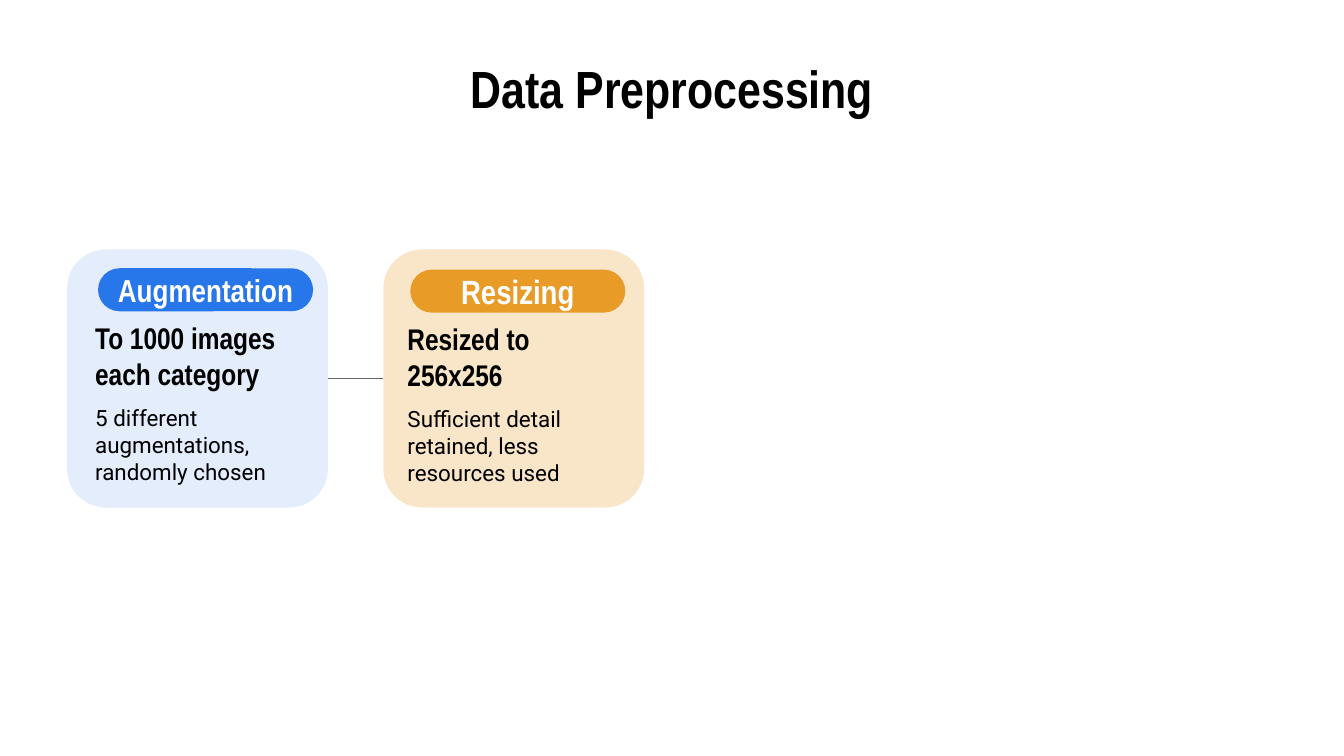
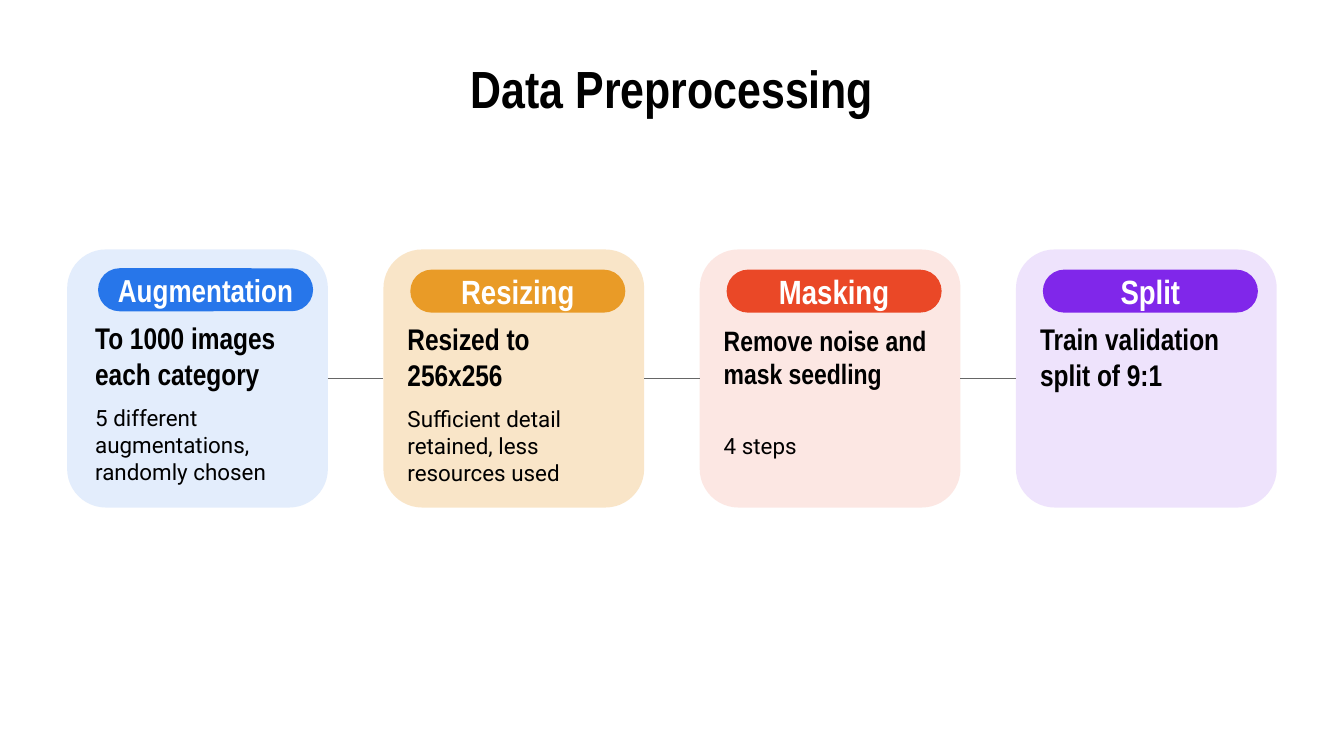
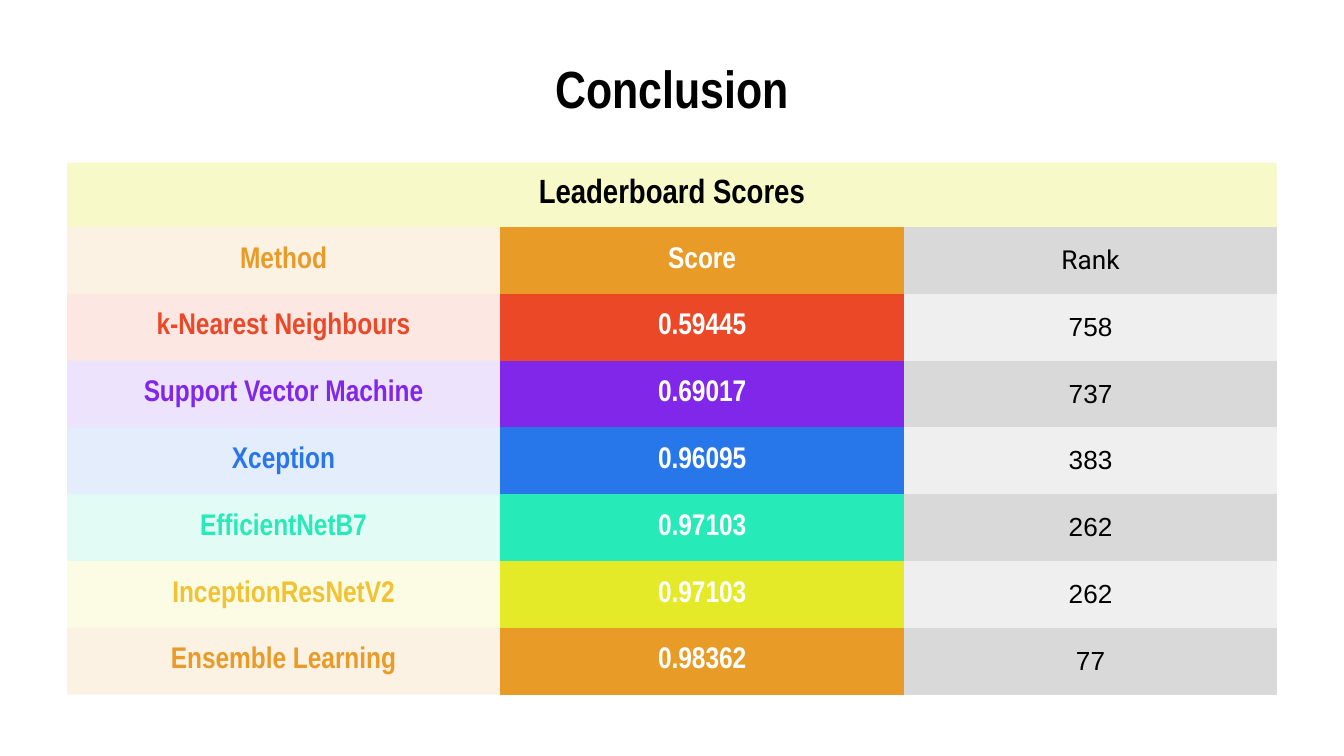
from dataclasses import dataclass

from pptx import Presentation
from pptx.dml.color import RGBColor
from pptx.enum.shapes import MSO_CONNECTOR as Conn, MSO_SHAPE as Shape
from pptx.enum.text import MSO_ANCHOR as Anchor, MSO_AUTO_SIZE as Auto, PP_ALIGN as Align
from pptx.oxml.ns import qn
from pptx.oxml.xmlchemy import OxmlElement
from pptx.table import _Cell as Cell
from pptx.util import Inches as In, Pt


@dataclass(frozen=True)
class Theme:
    head: str = "Arial Narrow"
    body: str = "Roboto"
    number: str = "Arial"
    black: str = "000000"
    white: str = "FFFFFF"
    line: str = "666666"
    grey: str = "D9D9D9"
    pale: str = "EFEFEF"
    blue: str = "2776EA"
    orange: str = "E99B27"
    red: str = "EA4827"
    purple: str = "8027EA"
    mint: str = "26EAB8"
    yellow: str = "E4EA27"
    gold: str = "F1C232"
    light: int = 13  # tint opacities in percent
    strong: int = 25
    title: int = 28
    label: int = 18
    lead: int = 16
    rank: int = 14
    detail: int = 12


T = Theme()
NO_STYLE = "{2D5ABB26-0587-4C30-8999-92F81FD0307C}"


def write(box, text, size, font=T.head, color=T.black, bold=True, align=Align.CENTER):
    tf = box.text_frame
    frame = box if isinstance(box, Cell) else tf
    frame.vertical_anchor = Anchor.MIDDLE
    frame.margin_left = frame.margin_right = frame.margin_top = frame.margin_bottom = In(0.1)
    tf.word_wrap = True
    p = tf.paragraphs[0]
    p.alignment = align
    r = p.add_run()
    r.text = text
    r.font.size, r.font.name, r.font.bold = Pt(size), font, bold
    r.font.color.rgb = RGBColor.from_string(color)


def paint(fill, element, color, opacity=100):
    fill.solid()
    fill.fore_color.rgb = RGBColor.from_string(color)
    if opacity < 100:
        alpha = OxmlElement("a:alpha")
        alpha.set("val", str(opacity * 1000))
        next(element.iter(qn("a:srgbClr"))).append(alpha)


# 16:9 slide
SLIDE_W = 10
SLIDE_H = SLIDE_W * 9 / 16
MARGIN = 0.05 * SLIDE_W
WIDTH = SLIDE_W - 2 * MARGIN
prs = Presentation()
prs.slide_width, prs.slide_height = In(SLIDE_W), In(SLIDE_H)

# Slides with their shared title
slides = []
for title in ("Data Preprocessing", "Data Preprocessing", "Conclusion"):
    s = prs.slides.add_slide(prs.slide_layouts[5])
    sp = s.shapes.title
    sp.left, sp.top, sp.width, sp.height = In(MARGIN), In(0.45), In(WIDTH), In(0.41)
    write(sp, title, T.title)
    sp.text_frame.auto_size = Auto.NONE
    slides.append(s)

# Preprocessing steps: label, size, lead, size, detail, colour, tint, content shift
STEPS = [
    ("Augmentation", 17, "To 1000 images each category", T.lead,
     "5 different augmentations, randomly chosen", T.blue, T.light, (0.03, -0.01)),
    ("Resizing", T.label, "Resized to 256x256", T.lead,
     "Sufficient detail retained, less resources used", T.orange, T.strong, (0, 0)),
    ("Masking", T.label, "Remove noise and mask seedling", 15,
     "4 steps", T.red, T.light, (0, 0)),
    ("Split", T.label, "Train validation split of 9:1", T.lead,
     "", T.purple, T.light, (0, 0)),
]
CARD_W, CARD_H, CARD_TOP = 1.94, 1.92, 0.33 * SLIDE_H
PITCH = (WIDTH - CARD_W) / (len(STEPS) - 1)
TEXT_W, TEXT_H = 1.71, 0.66

for s, count in zip(slides, (2, 4)):
    previous = None
    for i, step in enumerate(STEPS[:count]):
        label, label_size, lead, lead_size, detail, color, tint, (dx, dy) = step
        left = MARGIN + i * PITCH
        x, y = left + dx, CARD_TOP + dy

        # Card and label pill
        card = s.shapes.add_shape(Shape.ROUNDED_RECTANGLE, In(left), In(CARD_TOP),
                                  In(CARD_W), In(CARD_H))
        pill = s.shapes.add_shape(Shape.ROUNDED_RECTANGLE, In(x + 0.2), In(y + 0.15),
                                  In(1.6), In(0.32))
        for sp, radius, opacity in ((card, 0.15, tint), (pill, 0.5, 100)):
            sp.adjustments[0] = radius
            sp.shadow.inherit = False
            sp.line.fill.background()
            paint(sp.fill, sp._element, color, opacity)
        write(pill, label, label_size, color=T.white)

        # Lead and detail
        rows = [(lead, dict(size=lead_size)),
                (detail, dict(size=T.detail, font=T.body, bold=False))]
        for row, (text, style) in enumerate(rows):
            if text:
                tb = s.shapes.add_textbox(In(x + 0.08), In(y + 0.47 + row * TEXT_H),
                                          In(TEXT_W), In(TEXT_H))
                write(tb, text, align=Align.LEFT, **style)

        # Link from the previous card
        if previous:
            link = s.shapes.add_connector(Conn.STRAIGHT, 0, 0, 0, 0)
            link.begin_connect(previous, 3)
            link.end_connect(card, 1)
            link.line.color.rgb = RGBColor.from_string(T.line)
            link.line.width = Pt(0.75)
            link._element.spPr.append(OxmlElement("a:effectLst"))
        previous = card

# Leaderboard: method, score, rank, colour, method text colour
SCORES = [
    ("Method", "Score", "Rank", T.orange, T.orange),
    ("k-Nearest Neighbours", "0.59445", "758", T.red, T.red),
    ("Support Vector Machine", "0.69017", "737", T.purple, T.purple),
    ("Xception", "0.96095", "383", T.blue, T.blue),
    ("EfficientNetB7", "0.97103", "262", T.mint, T.mint),
    ("InceptionResNetV2", "0.97103", "262", T.yellow, T.gold),
    ("Ensemble Learning", "0.98362", "77", T.orange, T.orange),
]
TABLE_H, HEAD_H = 3.96, 0.48
table = slides[2].shapes.add_table(len(SCORES) + 1, 3, In(MARGIN), In(1.21),
                                   In(WIDTH), In(TABLE_H)).table
table.first_row = table.horz_banding = False
table._tbl.tblPr.find(qn("a:tableStyleId")).text = NO_STYLE
for col, width in zip(table.columns, (3.22, 3.01, 2.77)):
    col.width = In(width)
for i, row in enumerate(table.rows):
    row.height = In((TABLE_H - HEAD_H) / len(SCORES) if i else HEAD_H)

# Table heading across all columns
heading = table.cell(0, 0)
heading.merge(table.cell(0, 2))
paint(heading.fill, heading._tc, T.yellow, T.strong)
write(heading, "Leaderboard Scores", T.label)

# Table rows
for i, (method, score, rank, color, ink) in enumerate(SCORES):
    method_cell, score_cell, rank_cell = table.rows[i + 1].cells
    paint(method_cell.fill, method_cell._tc, color, T.light)
    write(method_cell, method, T.lead, color=ink)
    paint(score_cell.fill, score_cell._tc, color)
    write(score_cell, score, T.lead, color=T.white)
    paint(rank_cell.fill, rank_cell._tc, T.pale if i % 2 else T.grey)
    write(rank_cell, rank, T.rank, font=T.number if i else T.body, bold=False)

prs.save("out.pptx")
